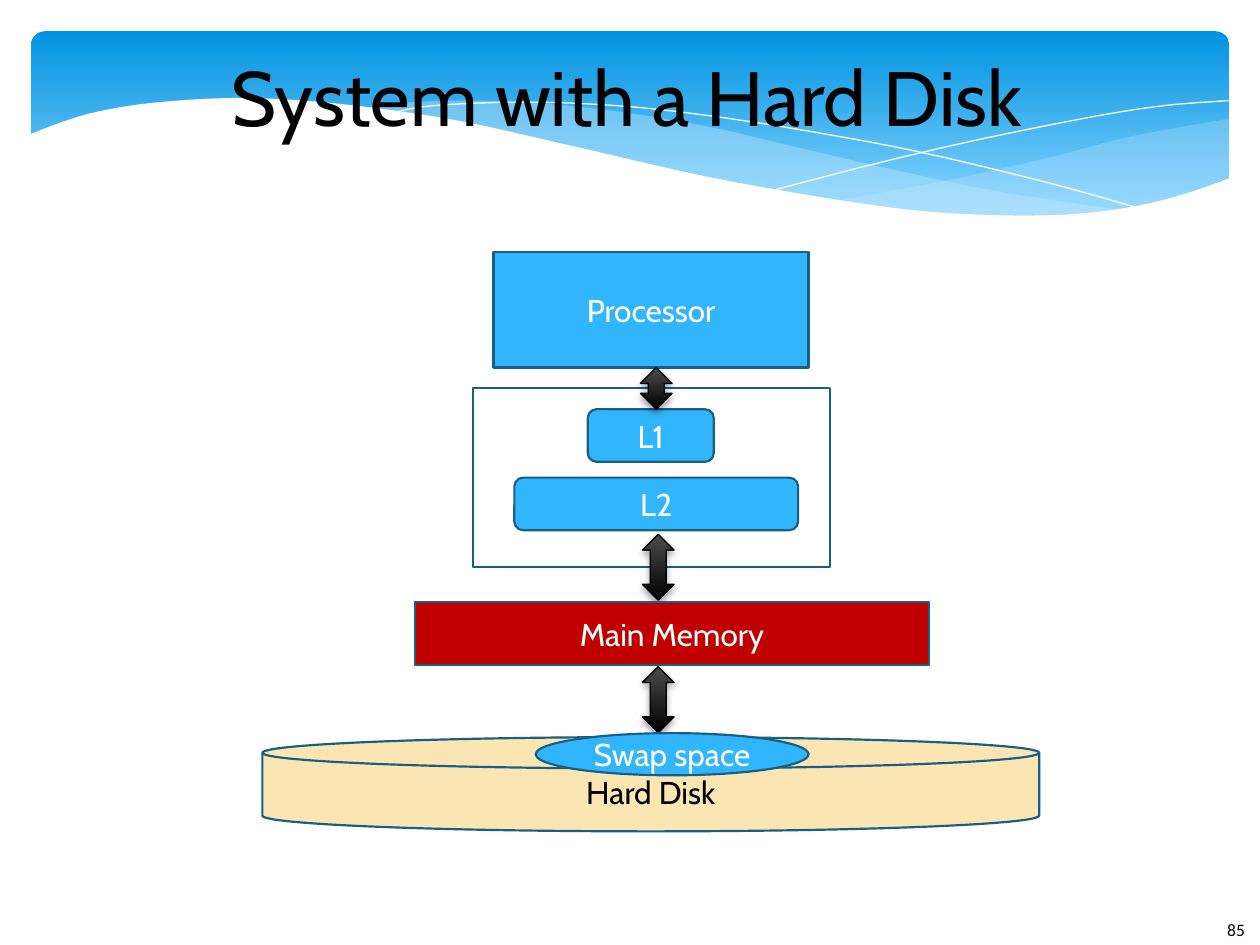
from dataclasses import dataclass

from lxml import etree
from pptx import Presentation
from pptx import util as u
from pptx.dml import color
from pptx.enum import shapes, text
from pptx.oxml import ns


@dataclass(frozen=True)
class Theme:
    banner_top: str = "0293E0"
    banner_bottom: str = "83D3FE"
    wave: str = "C6E7FC"
    white: str = "FFFFFF"
    black: str = "000000"
    block: str = "31B6FD"
    outline: str = "195F84"
    memory: str = "C00000"
    disk: str = "FBE6B3"
    arrow_top: str = "4B4B4B"
    font: str = "Cabin"
    number_font: str = "Calibri"
    title_size: int = 44
    label_size: int = 18
    number_size: int = 10


theme = Theme()
rgb = color.RGBColor.from_string
KIND = shapes.MSO_SHAPE


def smooth(knots, steps=6):
    padded = [knots[0], *knots, knots[-1]]
    points = [knots[0]]
    for a, b, c, d in zip(padded, padded[1:], padded[2:], padded[3:]):
        for t in (step / steps for step in range(1, steps + 1)):
            points.append(tuple(
                (2 * q + (r - p) * t + (2 * p - 5 * q + 4 * r - s) * t**2
                 + (3 * q - p - 3 * r + s) * t**3) / 2
                for p, q, r, s in zip(a, b, c, d)))
    return points


def add_block(kind, box, fill=None, line=None, width=1.25, gradient=None):
    shape = slide.shapes.add_shape(kind, *map(u.Cm, box))
    shape.shadow.inherit = False
    if gradient:
        shape.fill.gradient()
        shape.fill.gradient_angle = 270
        for stop, (position, value) in zip(shape.fill.gradient_stops, gradient):
            stop.position, stop.color.rgb = position, rgb(value)
    elif fill:
        shape.fill.solid()
        shape.fill.fore_color.rgb = rgb(fill)
    else:
        shape.fill.background()
    if line:
        shape.line.color.rgb = rgb(line)
        shape.line.width = u.Pt(width)
    else:
        shape.line.fill.background()
    return shape


presentation = Presentation()
presentation.slide_width, presentation.slide_height = u.Cm(25.4), u.Cm(19.05)
slide = presentation.slides.add_slide(presentation.slide_layouts[6])

banner = add_block(KIND.ROUNDED_RECTANGLE, (0.63, 0.63, 24.15, 3.96),
                   gradient=((0, theme.banner_top), (0.9, theme.banner_bottom)))
banner.adjustments[0] = 0.07

right_wave = smooth([
    (24.79, 2.39), (23.75, 2.57), (22.63, 2.79), (21.13, 3.18), (19.13, 3.63), (16.79, 4.06),
]) + smooth([
    (16.79, 4.06), (17.91, 4.19), (19.23, 4.32), (20.68, 4.37), (22.15, 4.29), (23.39, 4.06),
    (24.79, 3.58),
])
middle_wave = smooth([
    (7.26, 2.18), (8.33, 2.06), (9.65, 2.03), (11.23, 2.11), (12.75, 2.29), (14.45, 2.59),
    (15.98, 2.95), (17.93, 3.4), (19.69, 3.78), (21.26, 4.04), (22.68, 4.24),
]) + smooth([
    (22.68, 4.24), (21.54, 4.37), (20.5, 4.39), (19, 4.32), (17.27, 4.14), (15.27, 3.81),
    (13.46, 3.43), (11.4, 2.95), (9.73, 2.57), (8.2, 2.29), (7.26, 2.18),
])
falling_line = smooth([
    (7.85, 2.29), (8.74, 2.13), (10.57, 2.06), (12.42, 2.13), (14.12, 2.31), (16.15, 2.62),
    (18.47, 3.05), (21.11, 3.68), (23.04, 4.22),
])
rising_line = smooth([
    (15.57, 3.84), (17.65, 3.3), (19.71, 2.82), (22, 2.36), (23.47, 2.13), (24.77, 2.03),
])
white_wave = smooth([
    (24.82, 3.58), (23.88, 3.91), (22.83, 4.17), (21.59, 4.32), (20.14, 4.34), (18.44, 4.24),
    (16.46, 3.96), (14.1, 3.53), (11.35, 2.9), (9.27, 2.44), (7.42, 2.16), (5.84, 2.01),
    (4.5, 1.98), (3.02, 2.08), (1.93, 2.26), (1.17, 2.49), (0.58, 2.72),
]) + [(0.58, 5.68), (24.82, 5.68)]

for outline, fill, opacity in (
    (right_wave, theme.wave, 29),
    (middle_wave, theme.wave, 40),
    (falling_line, None, 100),
    (rising_line, None, 100),
    (white_wave, theme.white, 100),
):
    points = [(u.Cm(x), u.Cm(y)) for x, y in outline]
    builder = slide.shapes.build_freeform(*points[0])
    builder.add_line_segments(points[1:], close=bool(fill))
    wave = builder.convert_to_shape()
    wave.shadow.inherit = False
    if fill:
        wave.fill.solid()
        wave.fill.fore_color.rgb = rgb(fill)
        wave.line.fill.background()
        if opacity < 100:
            value = wave.fill._xPr.find(".//" + ns.qn("a:srgbClr"))
            etree.SubElement(value, ns.qn("a:alpha"), val=str(opacity * 1000))
    else:
        wave.fill.background()
        wave.line.color.rgb = rgb(theme.white)
        wave.line.width = u.Pt(0)

number = slide.shapes.add_textbox(u.Cm(24.49), u.Cm(18.41), u.Cm(0.91), u.Cm(0.64))
title = slide.shapes.add_textbox(u.Cm(2.34), u.Cm(0.63), u.Cm(20.6), u.Cm(2.6))
frame = title.text_frame
frame.word_wrap = True
frame.margin_left = frame.margin_right = frame.margin_top = frame.margin_bottom = 0
labels = [
    (number, "85", theme.number_font, theme.number_size, theme.black),
    (title, "System with a Hard Disk", theme.font, theme.title_size, theme.black),
]

arrow_fill = ((0, theme.arrow_top), (1, theme.black))
for kind, box, fill, label, ink in (
    (KIND.RECTANGLE, (9.95, 5.08, 6.35, 2.33), theme.block, "Processor", theme.white),
    (KIND.ROUNDED_RECTANGLE, (11.85, 8.25, 2.54, 1.06), theme.block, "L1", theme.white),
    (KIND.ROUNDED_RECTANGLE, (10.37, 9.63, 5.72, 1.06), theme.block, "L2", theme.white),
    (KIND.RECTANGLE, (9.53, 7.83, 7.2, 3.6), None, None, None),
    (KIND.UP_DOWN_ARROW, (12.91, 7.41, 0.64, 0.84), None, None, None),
    (KIND.UP_DOWN_ARROW, (12.95, 10.77, 0.64, 1.33), None, None, None),
    (KIND.RECTANGLE, (8.36, 12.14, 10.37, 1.27), theme.memory, "Main Memory", theme.white),
    (KIND.UP_DOWN_ARROW, (12.95, 13.44, 0.64, 1.33), None, None, None),
    (KIND.FLOWCHART_MAGNETIC_DISK, (5.29, 14.86, 15.66, 1.9), theme.disk, "Hard Disk",
     theme.black),
    (KIND.OVAL, (10.8, 14.78, 5.5, 0.85), theme.block, "Swap space", theme.white),
):
    if kind == KIND.UP_DOWN_ARROW:
        arrow = add_block(kind, box, line=theme.black, width=0.75, gradient=arrow_fill)
        effects = arrow._element.spPr.find(ns.qn("a:effectLst"))
        shadow = etree.SubElement(effects, ns.qn("a:outerShdw"), blurRad=str(u.Pt(4)),
                                  dist=str(u.Pt(2)), dir="5400000", rotWithShape="0")
        tint = etree.SubElement(shadow, ns.qn("a:srgbClr"), val=theme.black)
        etree.SubElement(tint, ns.qn("a:alpha"), val="38000")
    else:
        block = add_block(kind, box, fill, theme.outline)
        if label:
            labels.append((block, label, theme.font, theme.label_size, ink))

for shape, label, font, size, ink in labels:
    paragraph = shape.text_frame.paragraphs[0]
    paragraph.text = label
    paragraph.font.name, paragraph.font.size = font, u.Pt(size)
    paragraph.font.color.rgb = rgb(ink)
    if shape is not number:
        paragraph.alignment = text.PP_ALIGN.CENTER
        shape.text_frame.vertical_anchor = text.MSO_ANCHOR.MIDDLE

presentation.save("out.pptx")
